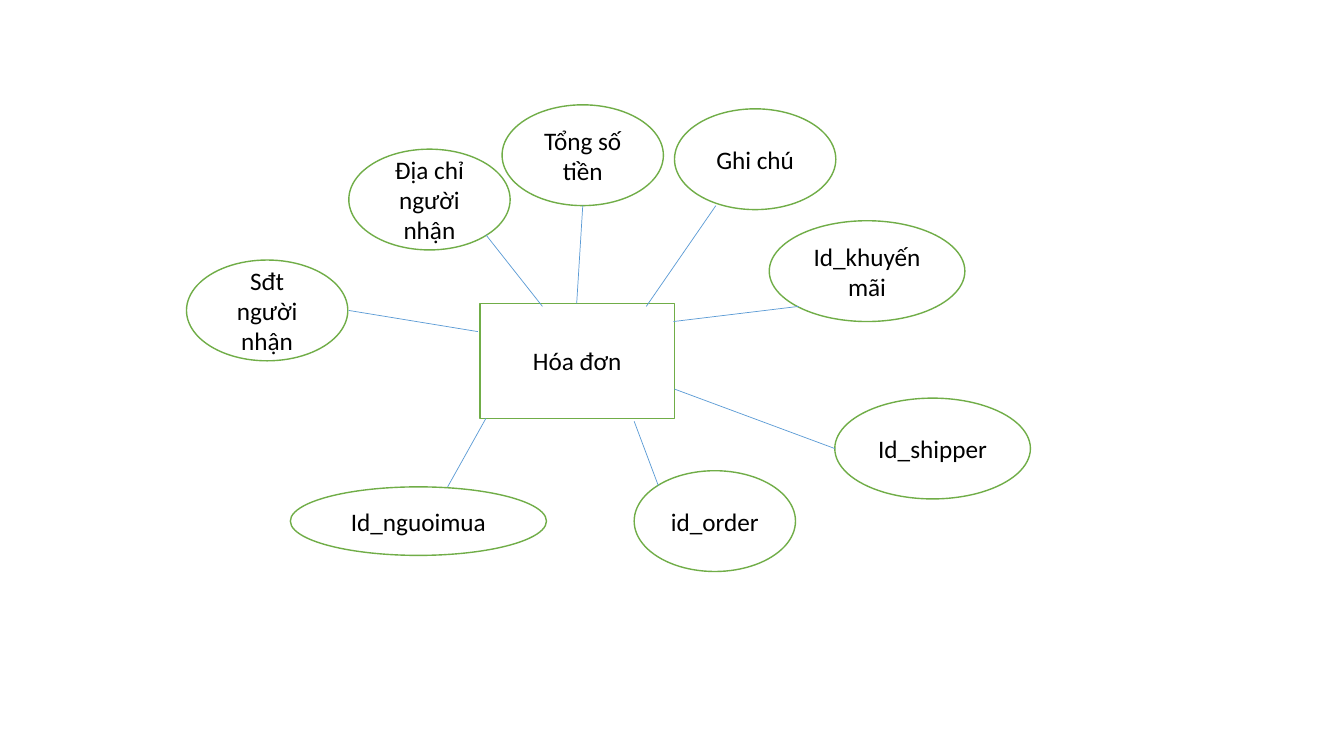
from lxml.etree import SubElement
from pptx import Presentation
from pptx.dml.color import RGBColor
from pptx.enum.shapes import MSO_CONNECTOR, MSO_SHAPE
from pptx.enum.text import MSO_ANCHOR, PP_ALIGN
from pptx.oxml.ns import qn
from pptx.util import Inches, Pt

WHITE = RGBColor(0xFF, 0xFF, 0xFF)
BLACK = RGBColor(0x00, 0x00, 0x00)
GREEN = RGBColor(0x70, 0xAD, 0x47)
BLUE = RGBColor(0x5B, 0x9B, 0xD5)

# Entity: text, left, top, width, height
ENTITY = ("Hóa đơn", 4.76, 3.01, 1.93, 1.14)

# Attributes: text, left, top, width, height
ATTRIBUTES = [
    ("id_order", 6.29, 4.67, 1.6, 1),
    ("Id_nguoimua", 2.88, 4.83, 2.54, 0.68),
    ("Sđt người nhận", 1.85, 2.58, 1.6, 1),
    ("Địa chỉ người nhận", 3.46, 1.48, 1.6, 1),
    ("Tổng số tiền", 4.98, 1.04, 1.6, 1),
    ("Id_khuyến mãi", 7.63, 2.19, 1.94, 1),
    ("Id_shipper", 8.28, 3.95, 1.94, 1),
    ("Ghi chú", 6.69, 1.08, 1.6, 1),
]

# Links between entity and attributes: start x, y, end x, y
LINKS = [
    (6.68, 3.19, 7.92, 3.04),
    (6.69, 3.86, 8.28, 4.45),
    (6.29, 4.18, 6.53, 4.82),
    (3.46, 3.08, 4.74, 3.29),
    (4.82, 2.33, 5.38, 3.04),
    (5.78, 2.04, 5.72, 3.01),
    (7.1, 2.04, 6.41, 3.04),
    (4.44, 4.83, 4.82, 4.15),
]


def add_node(slide, kind, text, *box):
    shape = slide.shapes.add_shape(kind, *map(Inches, box))
    shape.shadow.inherit = False
    shape.fill.solid()
    shape.fill.fore_color.rgb = WHITE
    shape.line.color.rgb = GREEN
    shape.line.width = Pt(1)
    text_frame = shape.text_frame
    text_frame.word_wrap = True
    text_frame.vertical_anchor = MSO_ANCHOR.MIDDLE
    text_frame.text = text
    paragraph = text_frame.paragraphs[0]
    paragraph.alignment = PP_ALIGN.CENTER
    font = paragraph.runs[0].font
    font.name = "Calibri"
    font.size = Pt(18)
    font.color.rgb = BLACK


def add_link(slide, *ends):
    connector = slide.shapes.add_connector(MSO_CONNECTOR.STRAIGHT, *map(Inches, ends))
    connector.line.color.rgb = BLUE
    connector.line.width = Pt(0.5)
    SubElement(connector._element.spPr, qn("a:effectLst"))


def main():
    presentation = Presentation()
    presentation.slide_width = Inches(13.33)
    presentation.slide_height = Inches(7.5)
    slide = presentation.slides.add_slide(presentation.slide_layouts[6])

    # Entity with its attributes around it
    add_node(slide, MSO_SHAPE.RECTANGLE, *ENTITY)
    for attribute in ATTRIBUTES:
        add_node(slide, MSO_SHAPE.OVAL, *attribute)

    # Connecting lines
    for link in LINKS:
        add_link(slide, *link)

    presentation.save("out.pptx")


main()
